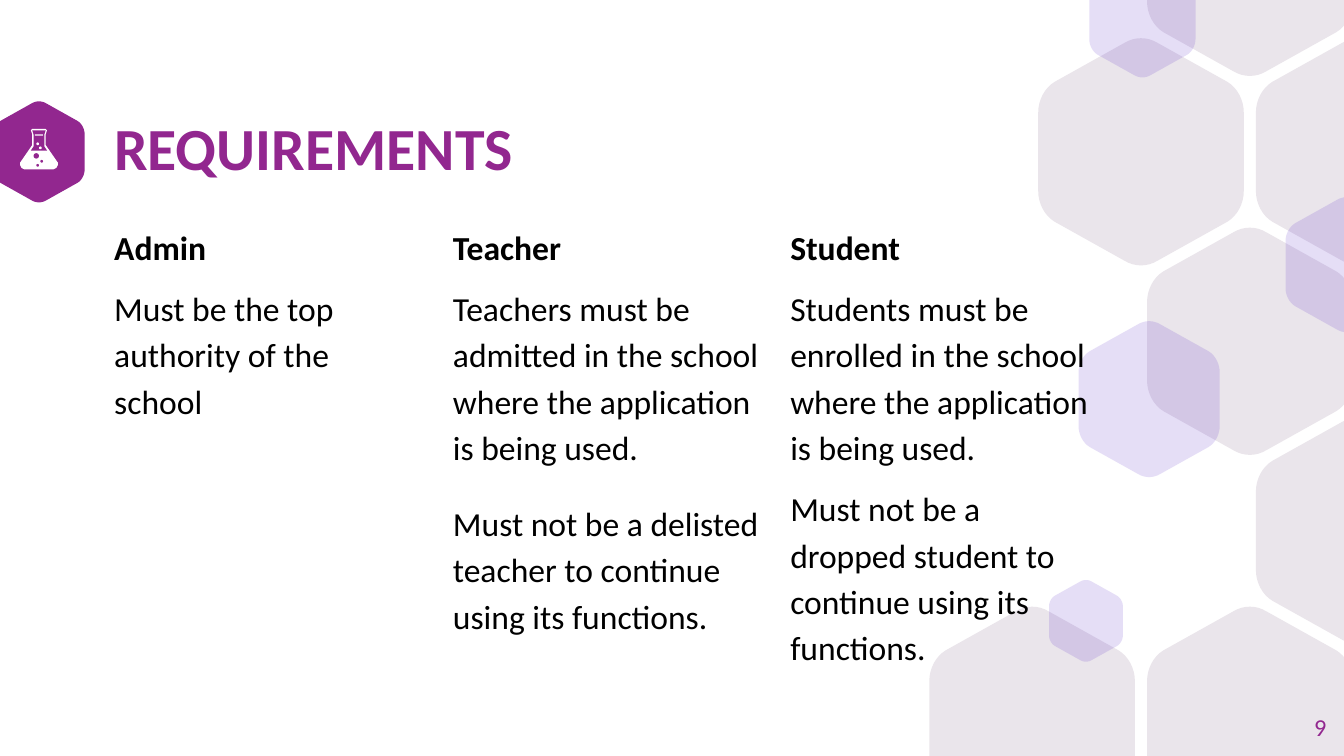
from lxml.etree import SubElement
from pptx import Presentation
from pptx.dml.color import RGBColor
from pptx.enum.shapes import MSO_SHAPE
from pptx.enum.text import MSO_ANCHOR, MSO_AUTO_SIZE, PP_ALIGN
from pptx.oxml.ns import qn
from pptx.util import Inches, Pt

PURPLE = RGBColor(0x92, 0x27, 0x8F)
VIOLET = RGBColor(0x53, 0x22, 0xC9)
PALE = RGBColor(0xEA, 0xE5, 0xEB)
WHITE = RGBColor(0xFF, 0xFF, 0xFF)
BLACK = RGBColor(0, 0, 0)

HEADING = "REQUIREMENTS"
PAGE_NUMBER = "9"
ROLES = [
    ("Admin", 0.85, 8, ["Must be the top authority of the school"]),
    ("Teacher", 3.37, 8, [
        "Teachers must be admitted in the school where the application is being used.",
        "Must not be a delisted teacher to continue using its functions.",
    ]),
    ("Student", 5.88, 0, [
        "Students must be enrolled in the school where the application is being used.",
        "Must not be a dropped student to continue using its functions.",
    ]),
]

SLIDE_W = 10
SLIDE_H = SLIDE_W * 9 / 16
COMB_CELLS = [(0, 3), (2, 3), (3, 0), (2, -1), (2, 1), (1, 0), (3, 2)]
COMB_LEFT, COMB_TOP = 7.68, 1.13
COMB_STEP_X, COMB_STEP_Y = 0.81, 1.41
COMB_WIDTH = 1.53
ACCENTS = [(10.02, 1.97, 0.91), (8.08, 4.62, 0.55), (8.5, 0.14, 0.79), (8.55, 2.97, 1.05)]
BADGE = (0.29, 1.13, 0.68)

SIDE_CURVE = [(0.5, 0.19), (0.5, 0.25), (0.47, 0.31), (0.42, 0.34)]
TIP_CURVE = [(0.08, 0.53), (0.03, 0.56), (-0.03, 0.56), (-0.08, 0.53)]
CURVE_STEPS = 8

FLASK_AXIS = 0.29
FLASK_HALF = [(0.34, 0.96), (0.35, 0.97), (0.34, 1), (0.34, 1.08),
              (0.43, 1.21), (0.43, 1.23), (0.42, 1.25), (0.4, 1.26)]
GLASS_HALF = [(0.34, 0.97), (0.33, 1), (0.33, 1.09), (0.35, 1.12)]
BUBBLES = [
    (0.25, 1.14, 0.04, PURPLE), (0.3, 1.19, 0.02, PURPLE), (0.27, 1.22, 0.02, PURPLE),
    (0.29, 1.09, 0.02, WHITE), (0.27, 1.06, 0.02, WHITE),
]


def bezier(curve):
    (ax, ay), (bx, by), (cx, cy), (dx, dy) = curve
    points = []
    for step in range(CURVE_STEPS + 1):
        t = step / CURVE_STEPS
        u = 1 - t
        weights = u ** 3, 3 * u * u * t, 3 * u * t * t, t ** 3
        points.append((
            sum(w * x for w, x in zip(weights, (ax, bx, cx, dx))),
            sum(w * y for w, y in zip(weights, (ay, by, cy, dy))),
        ))
    return points


def paint(shape, color, opacity=None):
    shape.shadow.inherit = False
    shape.fill.solid()
    shape.fill.fore_color.rgb = color
    shape.line.fill.background()
    if opacity:
        tint = next(shape._element.spPr.iter(qn("a:srgbClr")))
        SubElement(tint, qn("a:alpha")).set("val", str(opacity * 1000))


def add_outline(points, color, opacity=None):
    corners = [(Inches(x), Inches(y)) for x, y in points]
    builder = slide.shapes.build_freeform(*corners[0], scale=1.0)
    builder.add_line_segments(corners[1:], close=True)
    paint(builder.convert_to_shape(), color, opacity)


def add_hexagon(center_x, center_y, width, color, opacity=None):
    side = bezier(SIDE_CURVE)
    half = side + bezier(TIP_CURVE) + [(-x, y) for x, y in reversed(side)]
    ring = half + [(-x, -y) for x, y in half]
    add_outline(
        [(center_x + x * width, min(max(center_y + y * width, 0), SLIDE_H)) for x, y in ring],
        color, opacity)


def add_symmetric(half, color):
    add_outline(half + [(2 * FLASK_AXIS - x, y) for x, y in reversed(half)], color)


def place(shape, left, top, width, height, anchor):
    box = {"left": left, "top": top, "width": width, "height": height}
    for side, length in box.items():
        setattr(shape, side, Inches(length))
    frame = shape.text_frame
    layout = {"margin_left": 0, "margin_top": 0, "margin_right": 0, "margin_bottom": 0,
              "word_wrap": True, "auto_size": MSO_AUTO_SIZE.NONE, "vertical_anchor": anchor}
    for key, value in layout.items():
        setattr(frame, key, value)
    return frame


def write(paragraph, text, size, color, bold=False, **spacing):
    run = paragraph.add_run()
    run.text = text
    run.font.color.rgb = color
    for key, value in {"name": "Calibri", "size": Pt(size), "bold": bold}.items():
        setattr(run.font, key, value)
    for key, value in {"alignment": PP_ALIGN.LEFT, **spacing}.items():
        setattr(paragraph, key, value)


def remove_bullet(paragraph):
    properties = paragraph._p.get_or_add_pPr()
    properties.set("marL", "0")
    properties.set("indent", "0")
    SubElement(properties, qn("a:buNone"))


prs = Presentation()
prs.slide_width, prs.slide_height = Inches(SLIDE_W), Inches(SLIDE_H)
slide = prs.slides.add_slide(prs.slide_layouts.get_by_name("Comparison"))
title, *columns = slide.placeholders
spare = columns.pop()
spare._element.getparent().remove(spare._element)

for column, row in COMB_CELLS:
    add_hexagon(COMB_LEFT + column * COMB_STEP_X, COMB_TOP + row * COMB_STEP_Y, COMB_WIDTH, PALE)
for accent in ACCENTS:
    add_hexagon(*accent, VIOLET, 15)
add_hexagon(*BADGE, PURPLE)

add_symmetric(FLASK_HALF, WHITE)
add_symmetric(GLASS_HALF, PURPLE)
for left, top, size, color in BUBBLES:
    bubble = slide.shapes.add_shape(
        MSO_SHAPE.OVAL, Inches(left), Inches(top), Inches(size), Inches(size))
    paint(bubble, color)
mark = slide.shapes.add_shape(
    MSO_SHAPE.ROUNDED_RECTANGLE, Inches(0.26), Inches(1), Inches(0.06), Inches(0.01))
paint(mark, WHITE)

for placeholder in (title, *columns):
    slide.shapes._spTree.append(placeholder._element)

heading = place(title, 0.85, 0.91, 7.3, 0.43, MSO_ANCHOR.MIDDLE)
write(heading.paragraphs[0], HEADING, 32, PURPLE, True, line_spacing=0.9)

for column, (role, left, gap_after, rules) in zip(columns, ROLES):
    body = place(column, left, 1.64, 2.28, 3.57, MSO_ANCHOR.TOP)
    write(body.paragraphs[0], role, 18, BLACK, True,
          line_spacing=1.15, space_before=Pt(0), space_after=Pt(0))
    for rule in rules:
        write(body.add_paragraph(), rule, 18, BLACK,
              line_spacing=1.15, space_before=Pt(8), space_after=Pt(gap_after))
    for paragraph in body.paragraphs:
        remove_bullet(paragraph)

page = slide.shapes.add_textbox(0, 0, 0, 0)
page_frame = place(page, 9.27, 5.19, 0.6, 0.43, MSO_ANCHOR.MIDDLE)
write(page_frame.paragraphs[0], PAGE_NUMBER, 13, PURPLE, alignment=PP_ALIGN.RIGHT)

prs.save("out.pptx")
